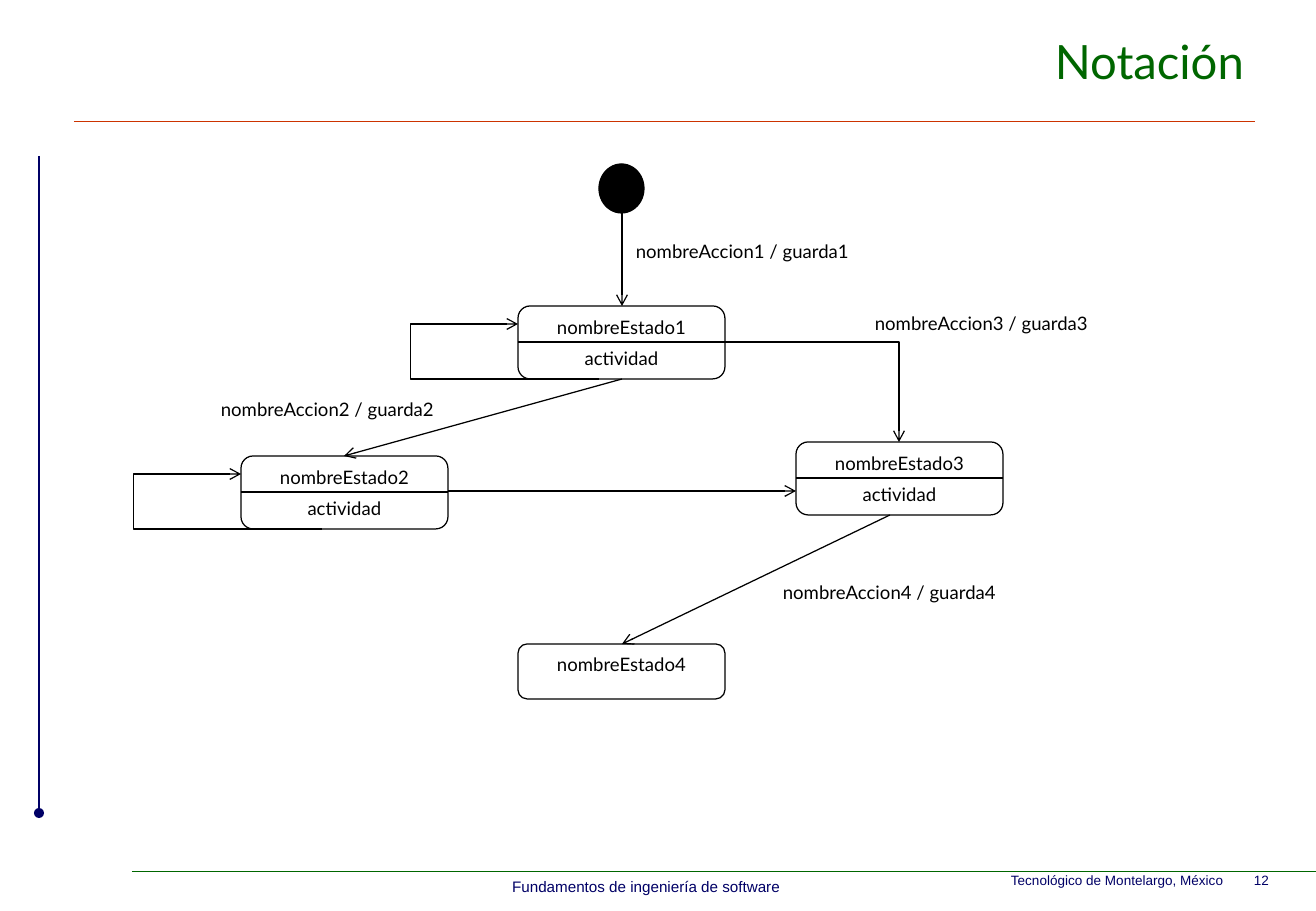
"""Build a slide that shows the notation of a state diagram."""
from lxml.etree import SubElement
from pptx import Presentation
from pptx.dml.color import RGBColor
from pptx.enum.shapes import MSO_CONNECTOR, MSO_SHAPE
from pptx.enum.text import MSO_ANCHOR, PP_ALIGN
from pptx.oxml.ns import qn
from pptx.util import Pt

PX = 7526
HUE = {"ink": "000000", "paper": "FFFFFF", "green": "006600",
       "navy": "000066", "rust": "CC3300"}


def write(shape, text, size=11, font="Lato", hue="ink", align=PP_ALIGN.CENTER,
          anchor=MSO_ANCHOR.TOP, wrap=True):
    frame = shape.text_frame
    frame.word_wrap = wrap
    frame.vertical_anchor = anchor
    frame.text = text
    for row, para in enumerate(frame.paragraphs):
        para.alignment = align
        para.space_before = Pt(5.5 if row else 0)
        for run in para.runs:
            run.font.size = Pt(size)
            run.font.name = font
            run.font.color.rgb = RGBColor.from_string(HUE[hue])


def link(ends, hue="ink", width=0.75, tail=None, kind=MSO_CONNECTOR.STRAIGHT):
    line = slide.shapes.add_connector(kind, *[n * PX for n in ends])
    line.line.color.rgb = RGBColor.from_string(HUE[hue])
    line.line.width = Pt(width)
    if tail:
        SubElement(line.line._get_or_add_ln(), qn("a:tailEnd"), type=tail)
    props = line._element.spPr
    SubElement(props, qn("a:effectLst"))
    return props


deck = Presentation()
deck.slide_width = 1316 * PX
deck.slide_height = 911 * PX
slide = deck.slides.add_slide(deck.slide_layouts[5])

title = slide.shapes.title
title.left, title.top, title.width, title.height = [
    n * PX for n in (81, 10, 1175, 101)]
write(title, "Notación", size=28, hue="green", align=PP_ALIGN.RIGHT,
      anchor=MSO_ANCHOR.MIDDLE)

link((74, 121, 1255, 121), hue="rust", width=0.5)
link((132, 871, 1316, 871), hue="green", width=0.25)
link((39, 156, 39, 813), hue="navy", tail="oval")

foot = {"font": "Arial", "hue": "navy"}
label = {"wrap": False}
for text, box, style in [
    ("Tecnológico de Montelargo, México\t12", (999, 866, 311, 29),
     {**foot, "size": 8, "align": PP_ALIGN.LEFT}),
    ("Fundamentos de ingeniería de software", (499, 871, 294, 30),
     {**foot, "size": 9, "wrap": False}),
    ("nombreAccion1 / guarda1", (623, 234, 239, 35), label),
    ("nombreAccion2 / guarda2", (208, 392, 239, 35), label),
    ("nombreAccion3 / guarda3", (862, 306, 239, 35), label),
    ("nombreAccion4 / guarda4", (770, 575, 239, 35), label),
]:
    write(slide.shapes.add_textbox(*[n * PX for n in box]), text, **style)

WIDE, HIGH = 207, 73
for kind, text, fill, box in [
    (MSO_SHAPE.OVAL, "", "ink", (599, 164, 45, 49)),
    (MSO_SHAPE.ROUNDED_RECTANGLE, "nombreEstado1\nactividad", "paper",
     (518, 306, WIDE, HIGH)),
    (MSO_SHAPE.ROUNDED_RECTANGLE, "nombreEstado2\nactividad", "paper",
     (241, 456, WIDE, HIGH)),
    (MSO_SHAPE.ROUNDED_RECTANGLE, "nombreEstado3\nactividad", "paper",
     (796, 442, WIDE, HIGH)),
    (MSO_SHAPE.ROUNDED_RECTANGLE, "nombreEstado4", "paper",
     (518, 644, WIDE, 55)),
]:
    node = slide.shapes.add_shape(kind, *[n * PX for n in box])
    node.shadow.inherit = False
    node.fill.solid()
    node.fill.fore_color.rgb = RGBColor.from_string(HUE[fill])
    node.line.color.rgb = RGBColor.from_string(HUE["ink"])
    node.line.width = Pt(0.75)
    if text:
        write(node, text)

for left, top in [(518, 306), (241, 456), (796, 442)]:
    link((left, top + 36, left + WIDE, top + 36))

for ends in [(622, 213, 622, 306), (622, 379, 344, 456),
             (890, 515, 622, 644), (448, 491, 796, 491)]:
    link(ends, tail="arrow")

bend = link((725, 342, 899, 442), tail="arrow", kind=MSO_CONNECTOR.ELBOW)
bend.find(qn("a:prstGeom")).set("prst", "bentConnector2")

for left, top in [(518, 306), (241, 456)]:
    loop = link((left, top + 18, left + 81, top + HIGH), tail="arrow",
                kind=MSO_CONNECTOR.ELBOW)
    loop.find(qn("a:xfrm")).set("rot", "10800000")
    guides = loop.find(qn("a:prstGeom")).find(qn("a:avLst"))
    SubElement(guides, qn("a:gd"), name="adj1", fmla="val 232500")

deck.save("out.pptx")
